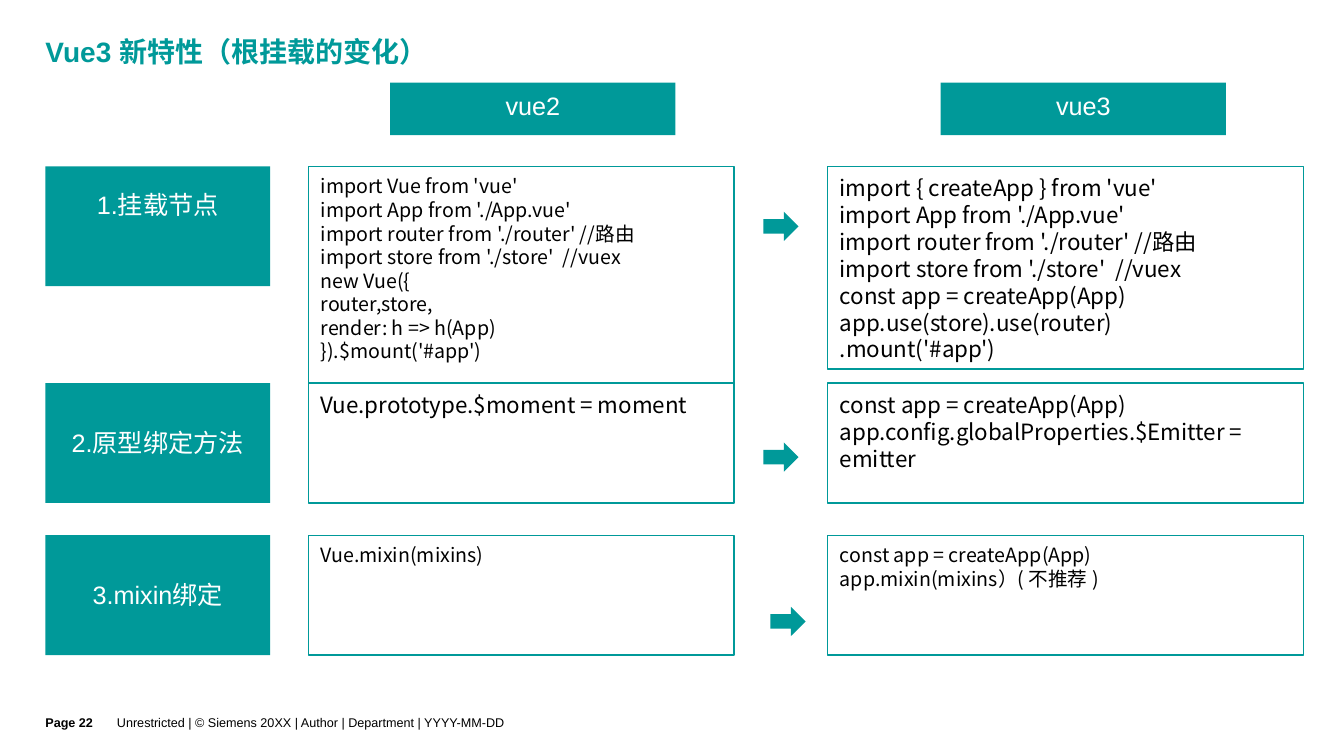
import dataclasses

import pptx
import pptx.dml.color
import pptx.enum.shapes
import pptx.enum.text
import pptx.util

Inches = pptx.util.Inches
Shape = pptx.enum.shapes.MSO_SHAPE
Align = pptx.enum.text.PP_ALIGN
Anchor = pptx.enum.text.MSO_ANCHOR


@dataclasses.dataclass(frozen=True)
class Theme:
    teal: str = "009999"
    white: str = "FFFFFF"
    black: str = "000000"
    sans: str = "Arial"
    code: str = "Noto Sans CJK SC"
    title_size: int = 20
    label_size: int = 18
    large_code: int = 16
    small_code: int = 14
    footer_size: int = 9


THEME = Theme()
COLUMNS = {"label": (0.45, 2.23), "vue2": (3.06, 4.22), "vue3": (8.21, 4.72)}
HEADERS = {"vue2": 3.87, "vue3": 9.33}
HEADER_TOP, HEADER_WIDTH, HEADER_HEIGHT = 0.82, 2.83, 0.52
ROW_HEIGHT = 1.19
ARROW_WIDTH, ARROW_HEIGHT = 0.29, 0.35
FOOTER_TOP, FOOTER_HEIGHT = 6.9, 0.6
BOX_MARGINS = (0.12, 0.08, 0.12, 0.08)
FOOTER_MARGINS = (0, 0, 0, 0.07)


@dataclasses.dataclass(frozen=True)
class Comparison:
    label: str
    label_spacing: float
    top: float
    arrow: tuple
    vue2: str
    vue2_size: int
    vue2_height: float
    vue3: str
    vue3_size: int
    vue3_height: float


COMPARISONS = [
    Comparison(
        "1.挂载节点", 1.5, 1.65, (7.6, 2.07),
        "import Vue from 'vue'\n"
        "import App from './App.vue'\n"
        "import router from './router' //路由\n"
        "import store from './store'  //vuex\n"
        "new Vue({\n"
        "router,store,\n"
        "render: h => h(App)\n"
        "}).$mount('#app')",
        THEME.small_code, 2.15,
        "import { createApp } from 'vue'\n"
        "import App from './App.vue'\n"
        "import router from './router' //路由\n"
        "import store from './store'  //vuex\n"
        "const app = createApp(App)\n"
        "app.use(store).use(router)\n"
        ".mount('#app')",
        THEME.large_code, 2.01,
    ),
    Comparison(
        "2.原型绑定方法", 2.2, 3.8, (7.6, 4.36),
        "Vue.prototype.$moment = moment",
        THEME.large_code, ROW_HEIGHT,
        "const app = createApp(App)\n"
        "app.config.globalProperties.$Emitter = emitter",
        THEME.large_code, ROW_HEIGHT,
    ),
    Comparison(
        "3.mixin绑定", 2.2, 5.31, (7.67, 5.99),
        "Vue.mixin(mixins)",
        THEME.small_code, ROW_HEIGHT,
        "const app = createApp(App)\n"
        "app.mixin(mixins）( 不推荐 )",
        THEME.small_code, ROW_HEIGHT,
    ),
]


def color(value):
    return pptx.dml.color.RGBColor.from_string(value)


def write(shape, text, size, ink, face, margins=BOX_MARGINS, anchor=Anchor.TOP,
          align=Align.LEFT, spacing=None, bold=False):
    frame = shape.text_frame
    frame.word_wrap = True
    frame.vertical_anchor = anchor
    (frame.margin_left, frame.margin_top,
     frame.margin_right, frame.margin_bottom) = map(Inches, margins)
    frame.text = text
    for para in frame.paragraphs:
        para.alignment = align
        if spacing:
            para.line_spacing = spacing
        para.font.name = face
        para.font.size = pptx.util.Pt(size)
        para.font.bold = bold
        para.font.color.rgb = color(ink)


def add_text(page, bounds, text, size, ink, **options):
    box = page.shapes.add_textbox(*map(Inches, bounds))
    write(box, text, size, ink, THEME.sans, **options)


def add_solid(page, kind, bounds):
    shape = page.shapes.add_shape(kind, *map(Inches, bounds))
    shape.shadow.inherit = False
    shape.fill.solid()
    shape.fill.fore_color.rgb = color(THEME.teal)
    shape.line.fill.background()
    return shape


def add_label(page, bounds, text, spacing=None):
    box = add_solid(page, Shape.RECTANGLE, bounds)
    write(box, text, THEME.label_size, THEME.white, THEME.sans,
          align=Align.CENTER, spacing=spacing)


def add_code(page, bounds, text, size):
    box = page.shapes.add_shape(Shape.RECTANGLE, *map(Inches, bounds))
    box.shadow.inherit = False
    box.fill.background()
    box.line.color.rgb = color(THEME.teal)
    box.line.width = pptx.util.Pt(1)
    write(box, text, size, THEME.black, THEME.code)


def add_arrow(page, left, top):
    arrow = add_solid(page, Shape.DOWN_ARROW, (left, top, ARROW_WIDTH, ARROW_HEIGHT))
    arrow.rotation = 270


def cell(column, top, height):
    left, width = COLUMNS[column]
    return left, top, width, height


def add_comparison(page, row):
    add_label(page, cell("label", row.top, ROW_HEIGHT), row.label, row.label_spacing)
    add_code(page, cell("vue2", row.top, row.vue2_height), row.vue2, row.vue2_size)
    add_arrow(page, *row.arrow)
    add_code(page, cell("vue3", row.top, row.vue3_height), row.vue3, row.vue3_size)


def main():
    deck = pptx.Presentation()
    deck.slide_width, deck.slide_height = Inches(13.33), Inches(7.5)
    page = deck.slides.add_slide(deck.slide_layouts[6])
    add_text(page, (0.45, 0.28, 10.79, 0.79), "Vue3 新特性（根挂载的变化）",
             THEME.title_size, THEME.teal, margins=(0, 0.1, 0.35, 0.02),
             spacing=0.9, bold=True)
    for name, left in HEADERS.items():
        add_label(page, (left, HEADER_TOP, HEADER_WIDTH, HEADER_HEIGHT), name)
    for row in COMPARISONS:
        add_comparison(page, row)
    add_text(page, (0.45, FOOTER_TOP, 0.71, FOOTER_HEIGHT), "Page 22",
             THEME.footer_size, THEME.black, margins=FOOTER_MARGINS,
             anchor=Anchor.MIDDLE, bold=True)
    add_text(page, (1.16, FOOTER_TOP, 10.08, FOOTER_HEIGHT),
             "Unrestricted | © Siemens 20XX | Author | Department | YYYY-MM-DD",
             THEME.footer_size, THEME.black, margins=FOOTER_MARGINS,
             anchor=Anchor.MIDDLE)
    deck.save("out.pptx")


if __name__ == "__main__":
    main()
